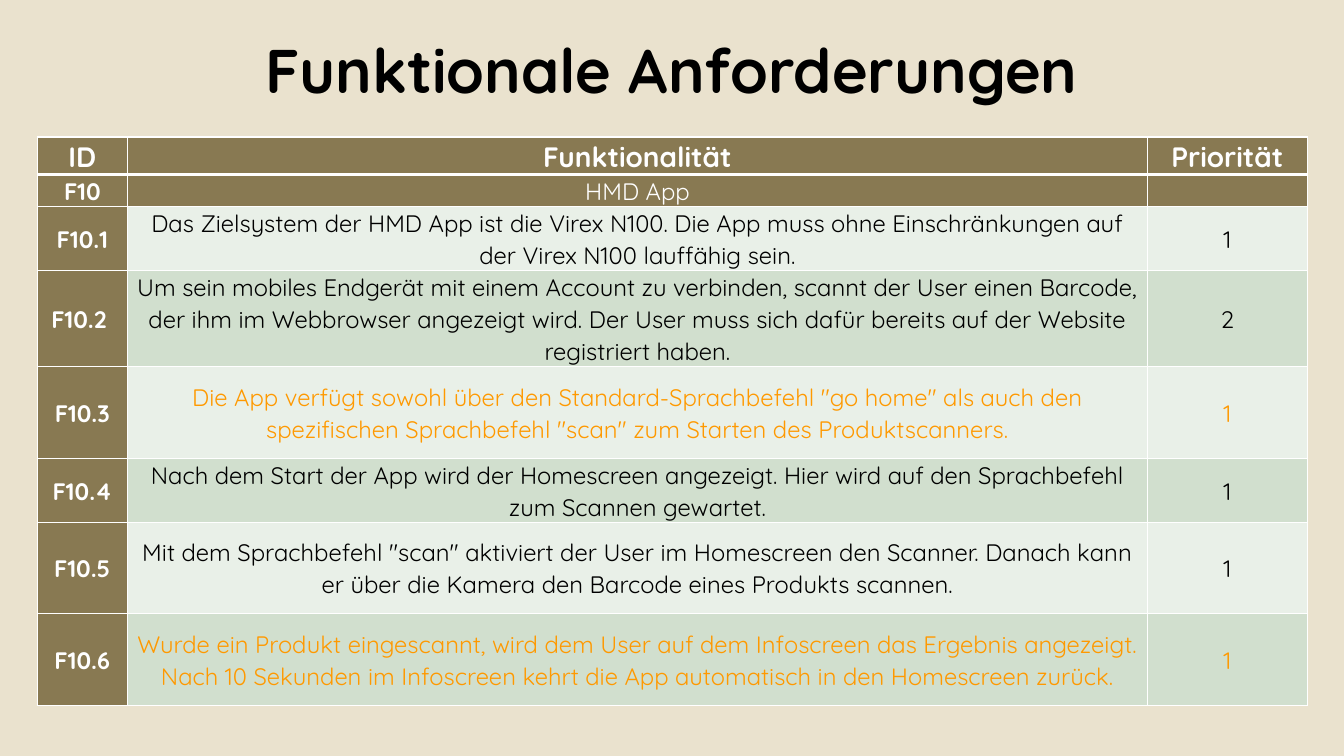
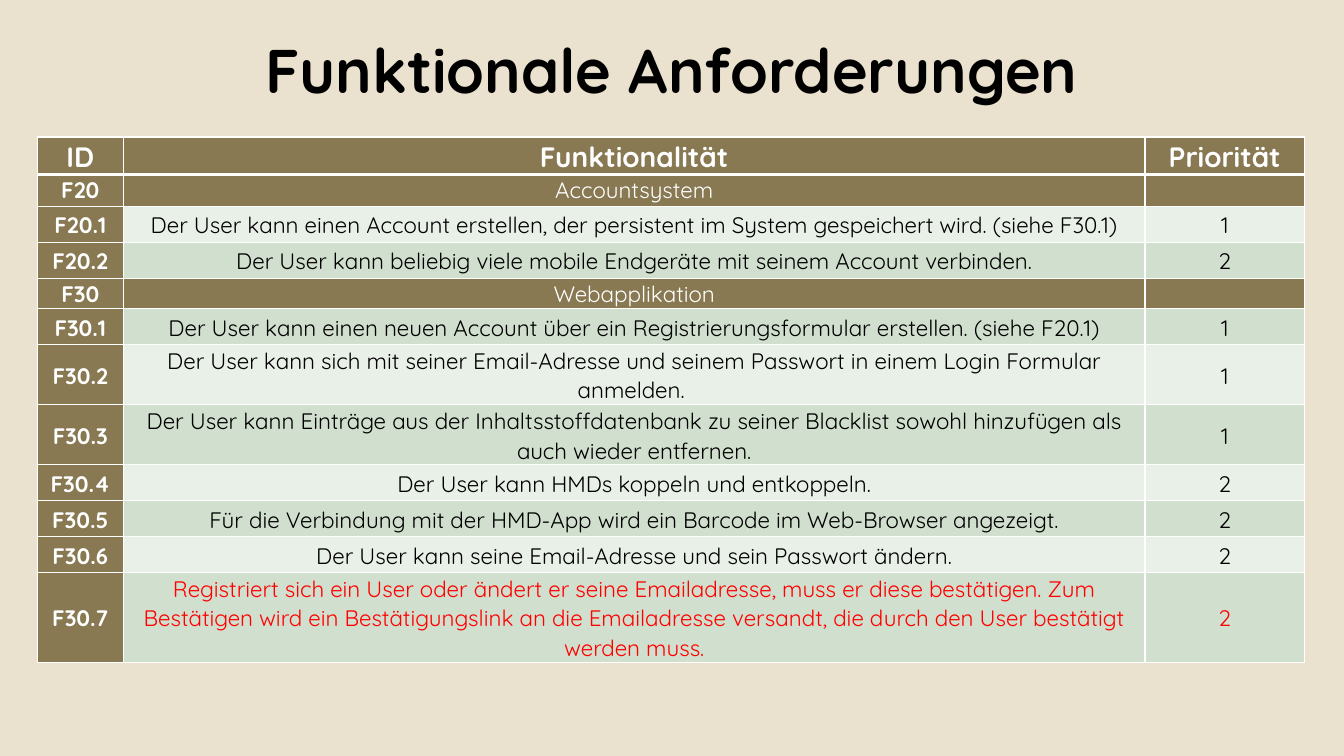
from dataclasses import dataclass
from typing import NamedTuple

from lxml.etree import SubElement
from pptx import Presentation
from pptx.dml.color import RGBColor
from pptx.enum.text import MSO_ANCHOR as Anchor, PP_ALIGN as Align
from pptx.oxml.ns import qn
from pptx.util import Pt


@dataclass(frozen=True)
class Theme:
    """Colours, type and line widths shared by the slides."""
    font: str = "Quicksand"
    background: str = "EAE2CE"
    band: str = "887952"
    light_row: str = "E9F0E8"
    dark_row: str = "D1DFCE"
    white: str = "FFFFFF"
    black: str = "000000"
    orange: str = "FF9900"
    red: str = "FF0000"
    title_size: float = 44
    header_size: float = 20
    rule: float = 1
    header_rule: float = 3


class Box(NamedTuple):
    """A region of the slide, in points."""
    left: float
    top: float
    width: float
    height: float


class Requirement(NamedTuple):
    """One table row; a row without priority opens a group."""
    height: float
    number: str
    text: str
    priority: str = ""
    color: str = Theme.black


THEME = Theme()
SLIDE_WIDTH, SLIDE_HEIGHT = 960, 540
TITLE_BOX = Box(0, 0, SLIDE_WIDTH, 104.4)
TABLE_LEFT, TABLE_TOP = 26.64, 97.92
HEADER_HEIGHT = 26.75
HEADINGS = ("ID", "Funktionalität", "Priorität")

HMD_ROWS = [
    Requirement(22.9, "F10", "HMD App"),
    Requirement(45.7, "F10.1", "Das Zielsystem der HMD App ist die Virex N100. Die App muss ohne "
                "Einschränkungen auf der Virex N100 lauffähig sein.", "1"),
    Requirement(68.6, "F10.2 ", "Um sein mobiles Endgerät mit einem Account zu verbinden, scannt "
                "der User einen Barcode, der ihm im Webbrowser angezeigt wird. Der User muss "
                "sich dafür bereits auf der Website registriert haben.", "2"),
    Requirement(65.5, "F10.3", 'Die App verfügt sowohl über den Standard-Sprachbefehl "go home" '
                'als auch den spezifischen Sprachbefehl "scan" zum Starten des '
                "Produktscanners.", "1", THEME.orange),
    Requirement(45.7, "F10.4", "Nach dem Start der App wird der Homescreen angezeigt. Hier wird "
                "auf den Sprachbefehl zum Scannen gewartet.", "1"),
    Requirement(65.5, "F10.5", 'Mit dem Sprachbefehl "scan" aktiviert der User im Homescreen den '
                "Scanner. Danach kann er über die Kamera den Barcode eines Produkts "
                "scannen.", "1"),
    Requirement(65.5, "F10.6", "Wurde ein Produkt eingescannt, wird dem User auf dem Infoscreen "
                "das Ergebnis angezeigt. Nach 10 Sekunden im Infoscreen kehrt die App "
                "automatisch in den Homescreen zurück.", "1", THEME.orange),
]

ACCOUNT_ROWS = [
    Requirement(22.9, "F20", "Accountsystem"),
    Requirement(25.7, "F20.1", "Der User kann einen Account erstellen, der persistent im System "
                "gespeichert wird. (siehe F30.1)", "1"),
    Requirement(25.7, "F20.2", "Der User kann beliebig viele mobile Endgeräte mit seinem Account "
                "verbinden.", "2"),
    Requirement(21.5, "F30", "Webapplikation"),
    Requirement(25.7, "F30.1", "Der User kann einen neuen Account über ein "
                "Registrierungsformular erstellen. (siehe F20.1)", "1"),
    Requirement(42.9, "F30.2", "Der User kann sich mit seiner Email-Adresse und seinem Passwort "
                "in einem Login Formular anmelden. ", "1"),
    Requirement(42.9, "F30.3", "Der User kann Einträge aus der Inhaltsstoffdatenbank zu seiner "
                "Blacklist sowohl hinzufügen als auch wieder entfernen.", "1"),
    Requirement(25.7, "F30.4", "Der User kann HMDs koppeln und entkoppeln.", "2"),
    Requirement(25.7, "F30.5", "Für die Verbindung mit der HMD-App wird ein Barcode im "
                "Web-Browser angezeigt.", "2"),
    Requirement(25.7, "F30.6", "Der User kann seine Email-Adresse und sein Passwort ändern.", "2"),
    Requirement(64.3, "F30.7", "Registriert sich ein User oder ändert er seine Emailadresse, muss "
                "er diese bestätigen. Zum Bestätigen wird ein Bestätigungslink an die "
                "Emailadresse versandt, die durch den User bestätigt werden muss.",
                "2", THEME.red),
]


def write_text(frame, text, *, size, color, bold=False, spacing=1.07):
    """Write one centred paragraph into a text frame."""
    frame.word_wrap = True
    paragraph = frame.paragraphs[0]
    paragraph.alignment = Align.CENTER
    paragraph.line_spacing = spacing
    run = paragraph.add_run()
    run.text = text
    font = run.font
    font.name, font.size, font.bold = THEME.font, Pt(size), bold
    font.color.rgb = RGBColor.from_string(color)


def add_borders(cell, top, bottom):
    """Draw white rules on the four sides of a cell."""
    properties = cell._tc.get_or_add_tcPr()
    sides = {"L": THEME.rule, "R": THEME.rule, "T": top, "B": bottom}
    for side, width in sides.items():
        line = SubElement(properties, qn(f"a:ln{side}"), w=str(Pt(width)))
        fill = SubElement(line, qn("a:solidFill"))
        SubElement(fill, qn("a:srgbClr"), val=THEME.white)


def fill_cell(cell, text, *, fill, anchor, top=THEME.rule, bottom=THEME.rule, **text_format):
    """Set the borders, fill, margins and text of a cell."""
    add_borders(cell, top, bottom)
    cell.fill.solid()
    cell.fill.fore_color.rgb = RGBColor.from_string(fill)
    cell.margin_left = cell.margin_right = Pt(5)
    cell.margin_top = cell.margin_bottom = 0
    cell.vertical_anchor = anchor
    write_text(cell.text_frame, text, **text_format)


def add_title(slide, text, box):
    """Place the slide title in the middle of its box."""
    shape = slide.shapes.add_textbox(*map(Pt, box))
    shape.text_frame.vertical_anchor = Anchor.MIDDLE
    write_text(shape.text_frame, text, size=THEME.title_size, color=THEME.black,
               bold=True, spacing=0.9)


def add_requirements_table(slide, requirements, box, columns, size):
    """Place the header, group rows and requirement rows in the box."""
    table = slide.shapes.add_table(len(requirements) + 1, len(columns), *map(Pt, box)).table
    table.horz_banding = False
    for column, width in zip(table.columns, columns):
        column.width = Pt(width)

    table.rows[0].height = Pt(HEADER_HEIGHT)
    for cell, heading in zip(table.rows[0].cells, HEADINGS):
        fill_cell(cell, heading, fill=THEME.band, anchor=Anchor.TOP, bottom=THEME.header_rule,
                  size=THEME.header_size, color=THEME.white, bold=True)

    for index, requirement in enumerate(requirements, start=1):
        table.rows[index].height = Pt(requirement.height)
        is_group = not requirement.priority
        row_fill = THEME.dark_row if index % 2 else THEME.light_row
        texts = (requirement.number, requirement.text, requirement.priority)
        for position, text in enumerate(texts):
            is_number = position == 0
            on_band = is_group or is_number
            fill_cell(table.cell(index, position), text,
                      fill=THEME.band if on_band else row_fill,
                      anchor=Anchor.TOP if is_group else Anchor.MIDDLE,
                      top=THEME.header_rule if index == 1 else THEME.rule,
                      size=size, bold=is_number,
                      color=THEME.white if on_band else requirement.color)


def add_requirements_slide(presentation, requirements, columns, size):
    """Add a slide with the shared title and one requirements table."""
    slide = presentation.slides.add_slide(presentation.slide_layouts[6])
    slide.background.fill.solid()
    slide.background.fill.fore_color.rgb = RGBColor.from_string(THEME.background)
    add_title(slide, "Funktionale Anforderungen", TITLE_BOX)
    height = HEADER_HEIGHT + sum(requirement.height for requirement in requirements)
    box = Box(TABLE_LEFT, TABLE_TOP, sum(columns), height)
    add_requirements_table(slide, requirements, box, columns, size)


def main():
    """Build and save the presentation."""
    presentation = Presentation()
    presentation.slide_width, presentation.slide_height = Pt(SLIDE_WIDTH), Pt(SLIDE_HEIGHT)
    add_requirements_slide(presentation, HMD_ROWS, columns=(64.4, 728.7, 114), size=17)
    add_requirements_slide(presentation, ACCOUNT_ROWS, columns=(61.5, 729.8, 113.8), size=16)
    presentation.save("out.pptx")


main()
